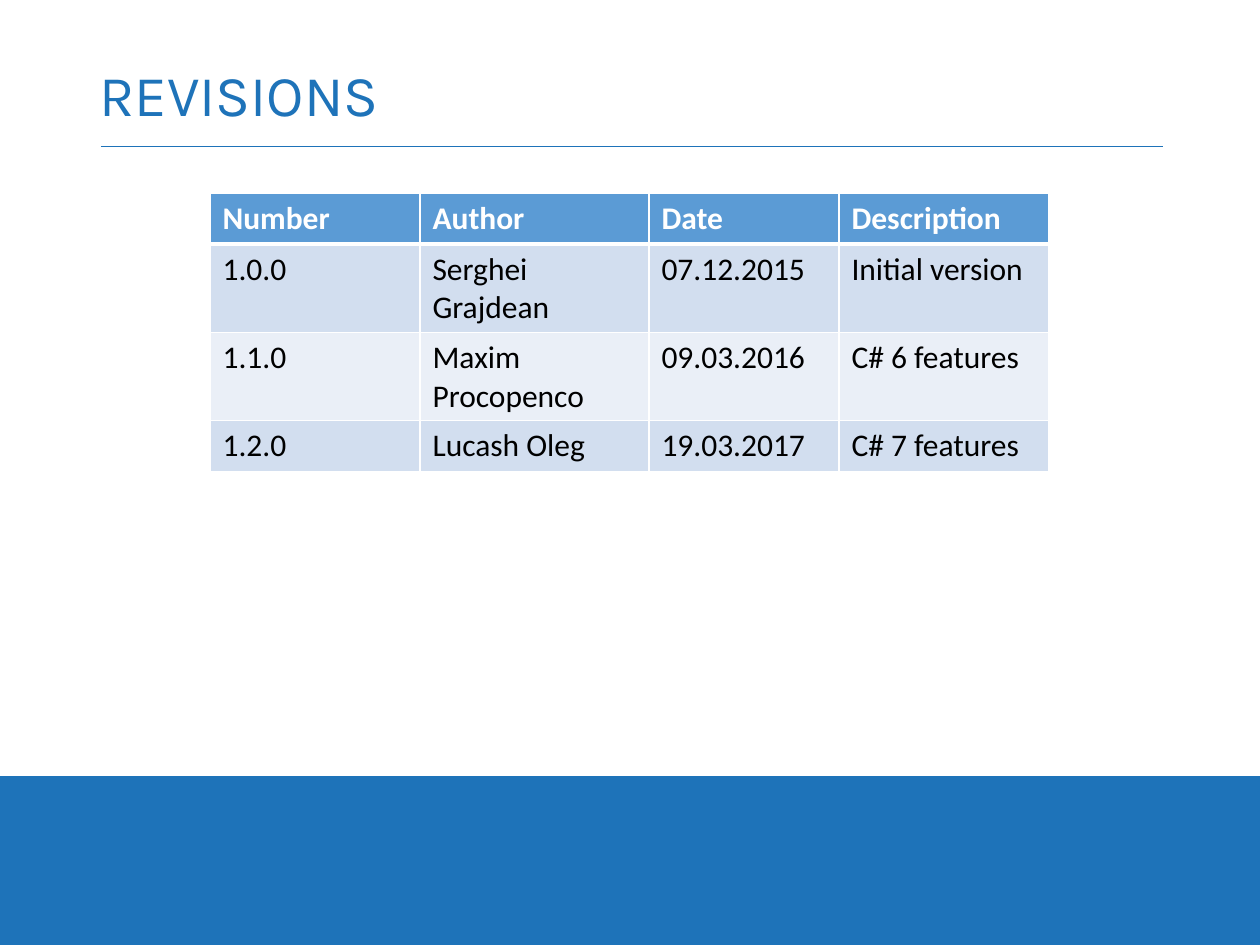
from lxml import etree
from pptx import Presentation
from pptx.dml.color import RGBColor
from pptx.enum.shapes import MSO_CONNECTOR, MSO_SHAPE
from pptx.enum.text import MSO_ANCHOR
from pptx.oxml.ns import qn
from pptx.util import Emu, Pt

STRAIGHT = MSO_CONNECTOR.STRAIGHT
RECTANGLE = MSO_SHAPE.RECTANGLE
MIDDLE = MSO_ANCHOR.MIDDLE

BLUE = RGBColor(0x1E, 0x73, 0xB9)
HEADER_BLUE = RGBColor(0x5B, 0x9B, 0xD5)
BAND_DARK = RGBColor(0xD2, 0xDE, 0xEF)
BAND_LIGHT = RGBColor(0xEA, 0xEF, 0xF7)
WHITE = RGBColor(0xFF, 0xFF, 0xFF)
BLACK = RGBColor(0x00, 0x00, 0x00)

PX_PER_INCH = 126
COLUMN_WIDTHS = (210, 229, 190, 210)
ROW_HEIGHT = 51
REVISIONS = (
    ("Number", "Author", "Date", "Description"),
    ("1.0.0", "Serghei Grajdean", "07.12.2015", "Initial version"),
    ("1.1.0", "Maxim Procopenco", "09.03.2016", "C# 6 features"),
    ("1.2.0", "Lucash Oleg", "19.03.2017", "C# 7 features"),
)


def px(length):
    return Emu(round(length * 914400 / PX_PER_INCH))


def add_run(paragraph, text, font, size, color, bold=False):
    run = paragraph.add_run()
    run.text = text
    run.font.name = font
    run.font.size = Pt(size)
    run.font.bold = bold
    run.font.color.rgb = color


def draw_background(slide, left, top, width, height):
    slide.background.fill.solid()
    slide.background.fill.fore_color.rgb = BLUE
    panel = slide.shapes.add_shape(RECTANGLE, px(left), px(top), px(width), px(height))
    panel.shadow.inherit = False
    panel.fill.solid()
    panel.fill.fore_color.rgb = WHITE
    panel.line.fill.background()


def draw_title(slide, left, top, width, height):
    rule_y = px(top + height)
    rule = slide.shapes.add_connector(
        STRAIGHT, px(left + 14), rule_y, px(left + width - 10), rule_y)
    rule.line.color.rgb = BLUE
    rule.line.width = Pt(0.5)
    etree.SubElement(rule.element.spPr, qn("a:effectLst"))

    title = slide.shapes.add_textbox(px(left), px(top), px(width), px(height))
    frame = title.text_frame
    frame.word_wrap = True
    frame.vertical_anchor = MIDDLE
    paragraph = frame.paragraphs[0]
    paragraph.line_spacing = 0.9
    add_run(paragraph, "REVISIONS", "Karla", 33, BLUE)


def set_borders(cell, widths):
    properties = cell._tc.get_or_add_tcPr()
    for index, (side, width) in enumerate(widths.items()):
        border = etree.Element(qn(f"a:{side}"), w=str(Pt(width)))
        fill = etree.SubElement(border, qn("a:solidFill"))
        etree.SubElement(fill, qn("a:srgbClr"), val=str(WHITE))
        properties.insert(index, border)


def draw_revisions(slide, left, top):
    table = slide.shapes.add_table(
        len(REVISIONS), len(COLUMN_WIDTHS), px(left), px(top),
        px(sum(COLUMN_WIDTHS)), px(ROW_HEIGHT * len(REVISIONS))).table
    for column, width in zip(table.columns, COLUMN_WIDTHS):
        column.width = px(width)
    for row_index, revision in enumerate(REVISIONS):
        is_header = row_index == 0
        band = BAND_DARK if row_index % 2 else BAND_LIGHT
        for column_index, text in enumerate(revision):
            cell = table.cell(row_index, column_index)
            cell.fill.solid()
            cell.fill.fore_color.rgb = HEADER_BLUE if is_header else band
            add_run(cell.text_frame.paragraphs[0], text, "Calibri", 18,
                    WHITE if is_header else BLACK, is_header)
            set_borders(cell, {"lnL": 1, "lnR": 1,
                               "lnT": 3 if row_index == 1 else 1,
                               "lnB": 3 if is_header else 1})


def main():
    presentation = Presentation()
    presentation.slide_width = px(1260)
    presentation.slide_height = px(945)
    slide = presentation.slides.add_slide(presentation.slide_layouts[6])
    draw_background(slide, 0, 0, 1260, 776)
    draw_title(slide, 87, 50, 1086, 96)
    draw_revisions(slide, 210, 193)
    presentation.save("out.pptx")


if __name__ == "__main__":
    main()
